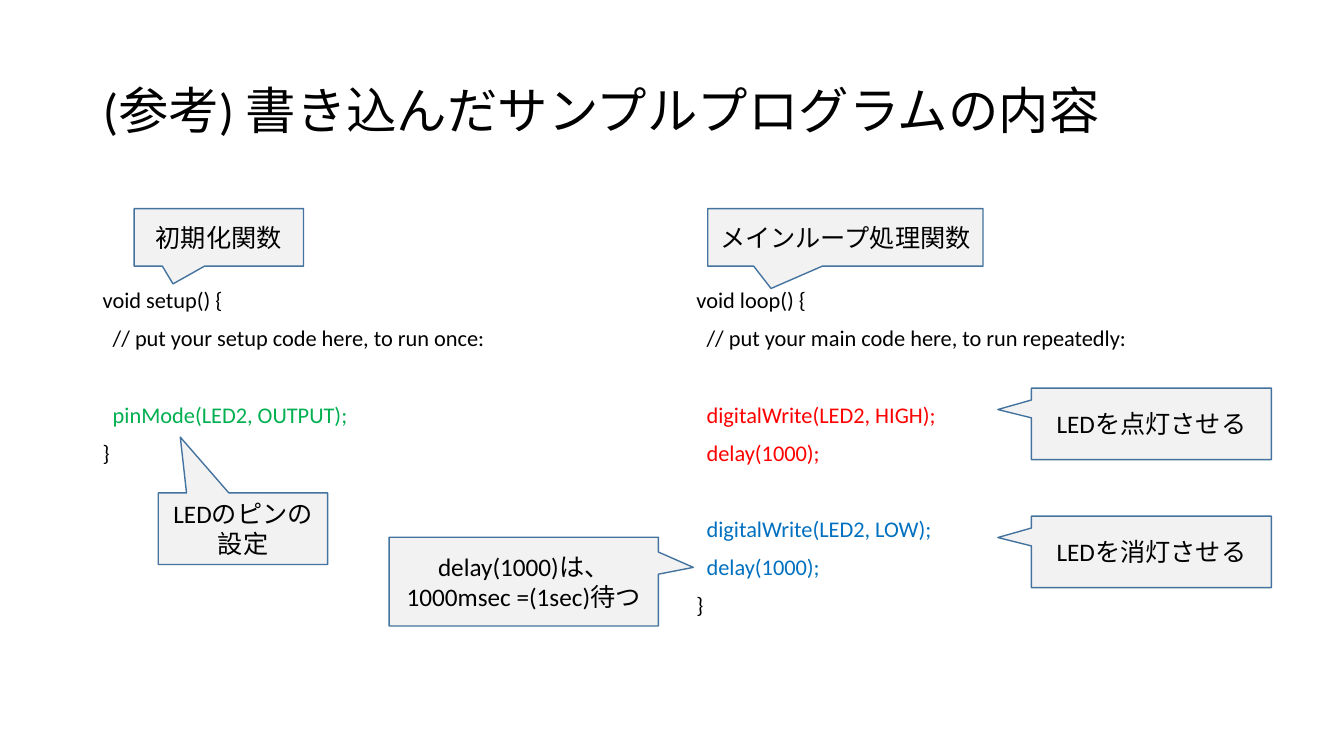
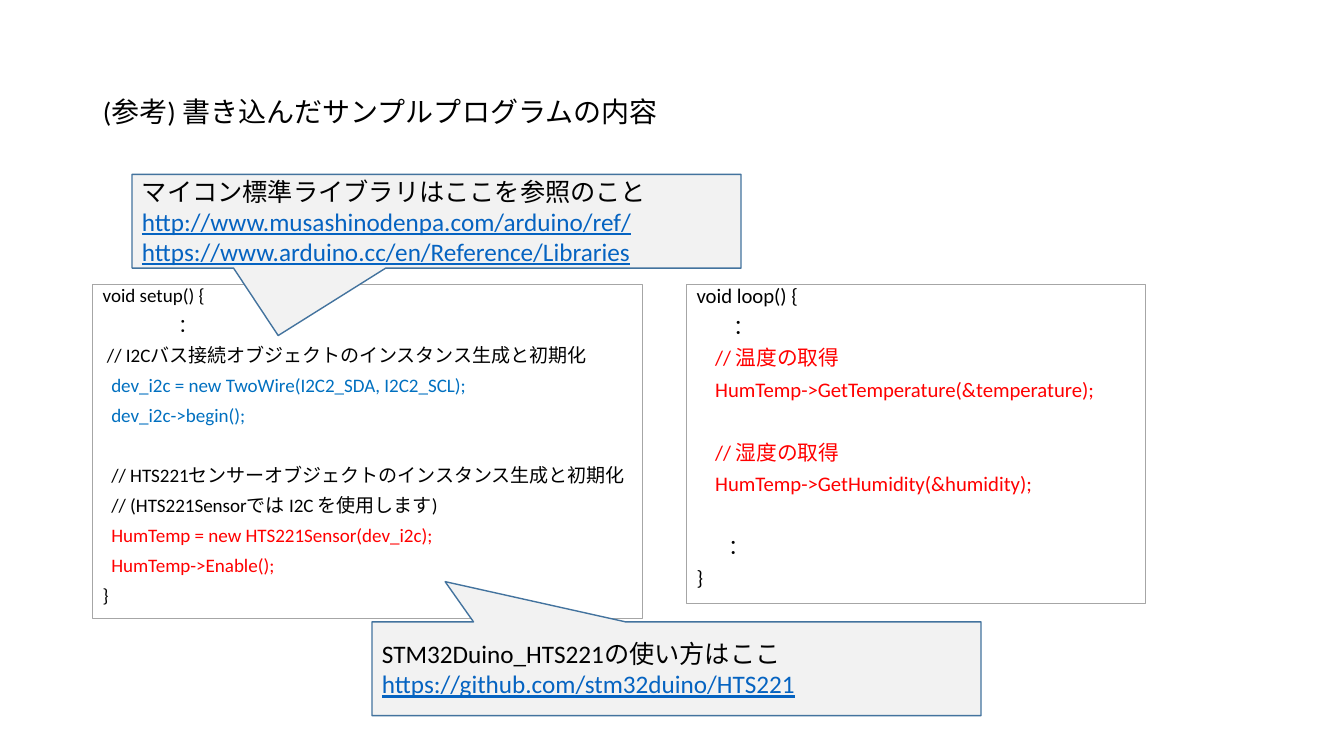
"""Two reference slides that explain the sample program with annotated code."""
import dataclasses

import pptx
import pptx.dml.color
import pptx.enum.shapes
import pptx.enum.text
import pptx.util

Inches = pptx.util.Inches
Pt = pptx.util.Pt
ALIGN = pptx.enum.text.PP_ALIGN
ANCHOR = pptx.enum.text.MSO_ANCHOR
CALLOUT = pptx.enum.shapes.MSO_SHAPE.RECTANGULAR_CALLOUT


@dataclasses.dataclass(frozen=True)
class Theme:
    font: str = "Calibri"
    ink: str = "000000"
    green: str = "00B050"
    red: str = "FF0000"
    blue: str = "0070C0"
    link: str = "0563C1"
    callout_fill: str = "F2F2F2"
    callout_line: str = "43739E"
    frame_line: str = "A6A6A6"
    callout_size: float = 18
    code_gap: float = 10
    line_height: float = 1.2


THEME = Theme()
INK, RED, BLUE = THEME.ink, THEME.red, THEME.blue
TITLE = "(参考) 書き込んだサンプルプログラムの内容"


def rgb(value):
    return pptx.dml.color.RGBColor.from_string(value)


def write(frame, lines, size, align=ALIGN.LEFT, anchor=ANCHOR.TOP, spacing=1.0, gap=0):
    frame.word_wrap = True
    frame.auto_size = pptx.enum.text.MSO_AUTO_SIZE.NONE
    frame.vertical_anchor = anchor
    blank_line = gap + size * spacing * THEME.line_height
    before = 0
    for index, (text, colour) in enumerate(lines):
        if not text:
            before += blank_line
            continue
        para = frame.paragraphs[0] if index == 0 else frame.add_paragraph()
        para.alignment = align
        para.line_spacing = spacing
        para.space_before = Pt(before)
        span = para.add_run()
        span.text = text
        span.font.name = THEME.font
        span.font.size = Pt(size)
        span.font.color.rgb = rgb(colour)
        if colour == THEME.link:
            span.font.underline = True
        before = gap


BLANK = ("", INK)
pages = [
    {
        "title_size": 36,
        "spacing": 0.9,
        "framed": False,
        "code": [
            ((0.92, 2.82, 4.17, 2.07), 16, [
                ("void setup() {", INK),
                ("  // put your setup code here, to run once:", INK),
                BLANK,
                ("  pinMode(LED2, OUTPUT);", THEME.green),
                ("}", INK),
            ]),
            ((6.81, 2.82, 5.06, 3.5), 16, [
                ("void loop() {", INK),
                ("  // put your main code here, to run repeatedly:", INK),
                BLANK,
                ("  digitalWrite(LED2, HIGH);", RED),
                ("  delay(1000);", RED),
                BLANK,
                ("  digitalWrite(LED2, LOW);", BLUE),
                ("  delay(1000);", BLUE),
                ("}", INK),
            ]),
        ],
        "callout_align": ALIGN.CENTER,
        "callouts": [
            ((1.33, 2.07, 1.68, 0.57), (-0.27, 0.81), [("初期化関数", INK)]),
            ((7.02, 2.07, 2.73, 0.57), (-0.27, 0.89), [("メインループ処理関数", INK)]),
            ((1.57, 4.89, 1.68, 0.71), (-0.37, -1.28), [("LEDのピンの設定", INK)]),
            ((10.23, 3.85, 2.38, 0.71), (-0.64, -0.2), [("LEDを点灯させる", INK)]),
            ((10.23, 5.12, 2.38, 0.71), (-0.64, -0.2), [("LEDを消灯させる", INK)]),
            ((3.86, 5.33, 2.67, 0.88), (0.63, -0.16),
             [("delay(1000)は、1000msec =(1sec)待つ", INK)]),
        ],
    },
    {
        "title_size": 20,
        "spacing": 0.7,
        "framed": True,
        "code": [
            ((0.92, 2.82, 5.45, 3.32), 13.6, [
                ("void setup() {", INK),
                ("　　　　：", INK),
                (" // I2Cバス接続オブジェクトのインスタンス生成と初期化", INK),
                ("  dev_i2c = new TwoWire(I2C2_SDA, I2C2_SCL);", BLUE),
                ("  dev_i2c->begin();", BLUE),
                BLANK,
                ("  // HTS221センサーオブジェクトのインスタンス生成と初期化", INK),
                ("  // (HTS221Sensorでは I2C を使用します)", INK),
                ("  HumTemp = new HTS221Sensor(dev_i2c);", RED),
                ("  HumTemp->Enable();", RED),
                ("}", INK),
            ]),
            ((6.81, 2.82, 4.55, 3.17), 14.8, [
                ("void loop() {", INK),
                ("        ：", INK),
                ("    // 温度の取得", RED),
                ("    HumTemp->GetTemperature(&temperature);", RED),
                BLANK,
                ("    // 湿度の取得", RED),
                ("    HumTemp->GetHumidity(&humidity);", RED),
                BLANK,
                ("       ：", INK),
                ("}", INK),
            ]),
        ],
        "callout_align": ALIGN.LEFT,
        "callouts": [
            ((1.31, 1.73, 6.04, 0.93), (-0.26, 1.22), [
                ("マイコン標準ライブラリはここを参照のこと", INK),
                ("http://www.musashinodenpa.com/arduino/ref/", THEME.link),
                ("https://www.arduino.cc/en/Reference/Libraries", THEME.link),
            ]),
            ((3.69, 6.17, 6.04, 0.93), (-0.38, -0.93), [
                ("STM32Duino_HTS221の使い方はここ", INK),
                ("https://github.com/stm32duino/HTS221", THEME.link),
            ]),
        ],
    },
]

deck = pptx.Presentation()
deck.slide_width = Inches(13.33)
deck.slide_height = Inches(7.5)
title_only = deck.slide_layouts[5]

for content in pages:
    page = deck.slides.add_slide(title_only)
    title = page.shapes.title
    title.left, title.top = Inches(0.92), Inches(0.4)
    title.width, title.height = Inches(11.5), Inches(1.45)
    write(title.text_frame, [(TITLE, INK)], content["title_size"],
          anchor=ANCHOR.MIDDLE, spacing=0.9)

    for place, size, lines in content["code"]:
        box = page.shapes.add_textbox(*map(Inches, place))
        if content["framed"]:
            box.line.color.rgb = rgb(THEME.frame_line)
            box.line.width = Pt(0.75)
        write(box.text_frame, lines, size,
              spacing=content["spacing"], gap=THEME.code_gap)

    for place, tip, lines in content["callouts"]:
        callout = page.shapes.add_shape(CALLOUT, *map(Inches, place))
        callout.adjustments[0], callout.adjustments[1] = tip
        callout.shadow.inherit = False
        callout.fill.solid()
        callout.fill.fore_color.rgb = rgb(THEME.callout_fill)
        callout.line.color.rgb = rgb(THEME.callout_line)
        callout.line.width = Pt(1)
        write(callout.text_frame, lines, THEME.callout_size,
              align=content["callout_align"], anchor=ANCHOR.MIDDLE)

deck.save("out.pptx")
